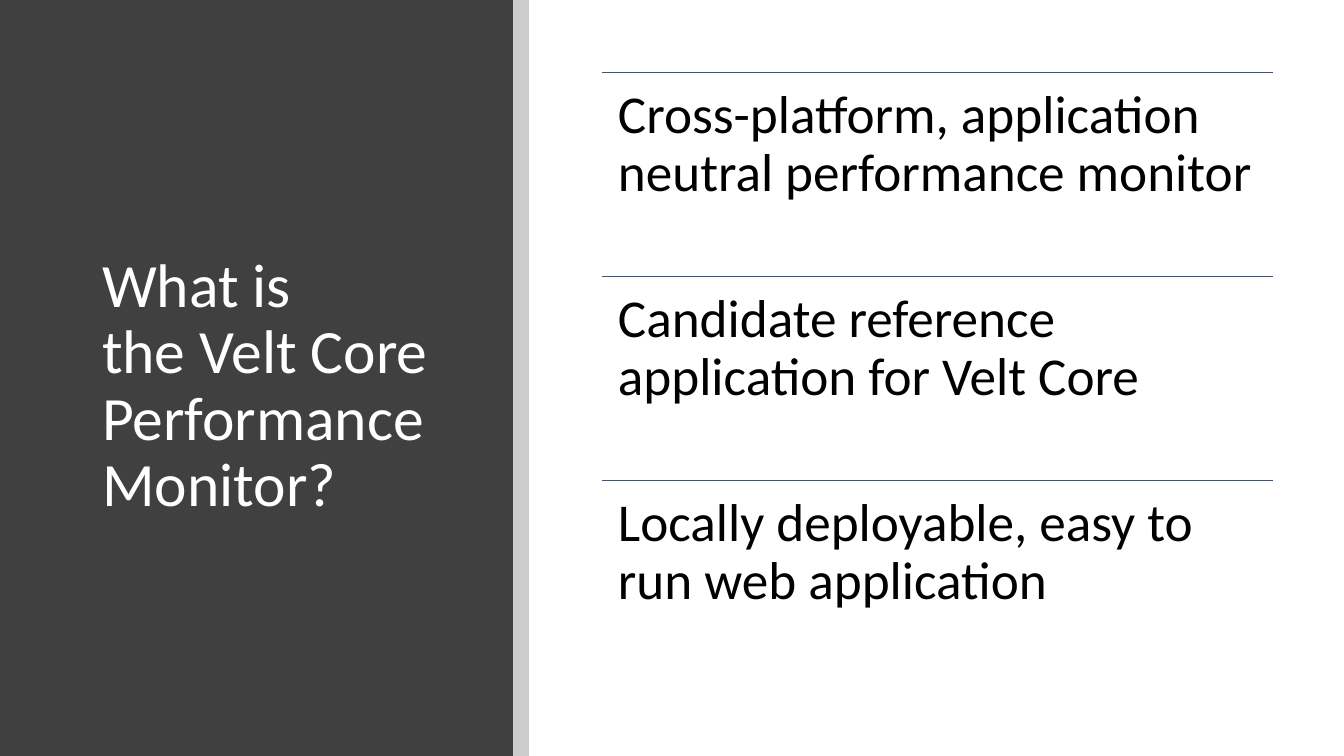
from dataclasses import dataclass

from lxml.etree import SubElement
from pptx import Presentation
from pptx.dml.color import RGBColor
from pptx.enum.shapes import MSO_CONNECTOR as Link, MSO_SHAPE as Shape
from pptx.enum.text import MSO_ANCHOR as Anchor, MSO_AUTO_SIZE as Fit, PP_ALIGN as Align
from pptx.oxml.ns import qn
from pptx.util import Emu, Pt

SCALE = 914400 / 100.8
FONT = "Calibri"
WHITE = RGBColor(0xFF, 0xFF, 0xFF)
BLACK = RGBColor(0x00, 0x00, 0x00)
DARK = RGBColor(0x40, 0x40, 0x40)
SLATE = RGBColor(0x44, 0x54, 0x6A)


def px(value: int) -> Emu:
    return Emu(round(value * SCALE))


@dataclass(frozen=True)
class Box:
    left: int
    top: int
    width: int
    height: int

    def emu(self) -> tuple[Emu, Emu, Emu, Emu]:
        return px(self.left), px(self.top), px(self.width), px(self.height)


@dataclass(frozen=True)
class Band:
    box: Box
    color: RGBColor
    alpha: int = 100


@dataclass(frozen=True)
class Point:
    box: Box
    text: str


def write(frame, text: str, size: int, color: RGBColor, anchor: Anchor) -> None:
    frame.word_wrap = True
    frame.auto_size = Fit.NONE
    frame.vertical_anchor = anchor
    para = frame.paragraphs[0]
    para.alignment = Align.LEFT
    para.line_spacing = 0.9
    run = para.add_run()
    run.text = text
    run.font.name = FONT
    run.font.size = Pt(size)
    run.font.color.rgb = color


def draw_band(slide, band: Band) -> None:
    rect = slide.shapes.add_shape(Shape.RECTANGLE, *band.box.emu())
    rect.shadow.inherit = False
    rect.line.fill.background()
    rect.fill.solid()
    rect.fill.fore_color.rgb = band.color
    if band.alpha < 100:
        tint = rect._element.spPr.find(".//" + qn("a:srgbClr"))
        SubElement(tint, qn("a:alpha")).set("val", str(band.alpha * 1000))


def draw_title(slide, box: Box, text: str) -> None:
    title = slide.shapes.title
    title.left, title.top, title.width, title.height = box.emu()
    write(title.text_frame, text, 44, WHITE, Anchor.MIDDLE)
    slide.shapes._spTree.append(title._element)


def draw_point(slide, point: Point) -> None:
    left, top, width, height = point.box.emu()
    rule = slide.shapes.add_connector(Link.STRAIGHT, left, top, left + width, top)
    rule.line.color.rgb = SLATE
    rule.line.width = Pt(0.5)
    SubElement(rule._element.spPr, qn("a:effectLst"))
    frame = slide.shapes.add_textbox(left, top, width, height).text_frame
    frame.margin_left = frame.margin_right = px(16)
    frame.margin_top = frame.margin_bottom = px(16)
    write(frame, point.text, 38, BLACK, Anchor.TOP)


PANEL = Band(Box(0, 0, 513, 756), DARK)
STRIP = Band(Box(513, 0, 16, 756), BLACK, 20)
HEAD = Box(92, 89, 368, 596)
TEXTS = (
    "Cross-platform, application neutral performance monitor",
    "Candidate reference application for Velt Core",
    "Locally deployable, easy to run web application",
)
STEP = 204
POINTS = [Point(Box(602, 72 + STEP * i, 671, STEP), text) for i, text in enumerate(TEXTS)]

deck = Presentation()
deck.slide_width, deck.slide_height = px(1344), px(756)
slide = deck.slides.add_slide(deck.slide_layouts.get_by_name("Title Only"))
draw_band(slide, PANEL)
draw_title(slide, HEAD, "What is the\u00a0Velt Core Performance Monitor?")
draw_band(slide, STRIP)
for point in POINTS:
    draw_point(slide, point)
deck.save("out.pptx")
